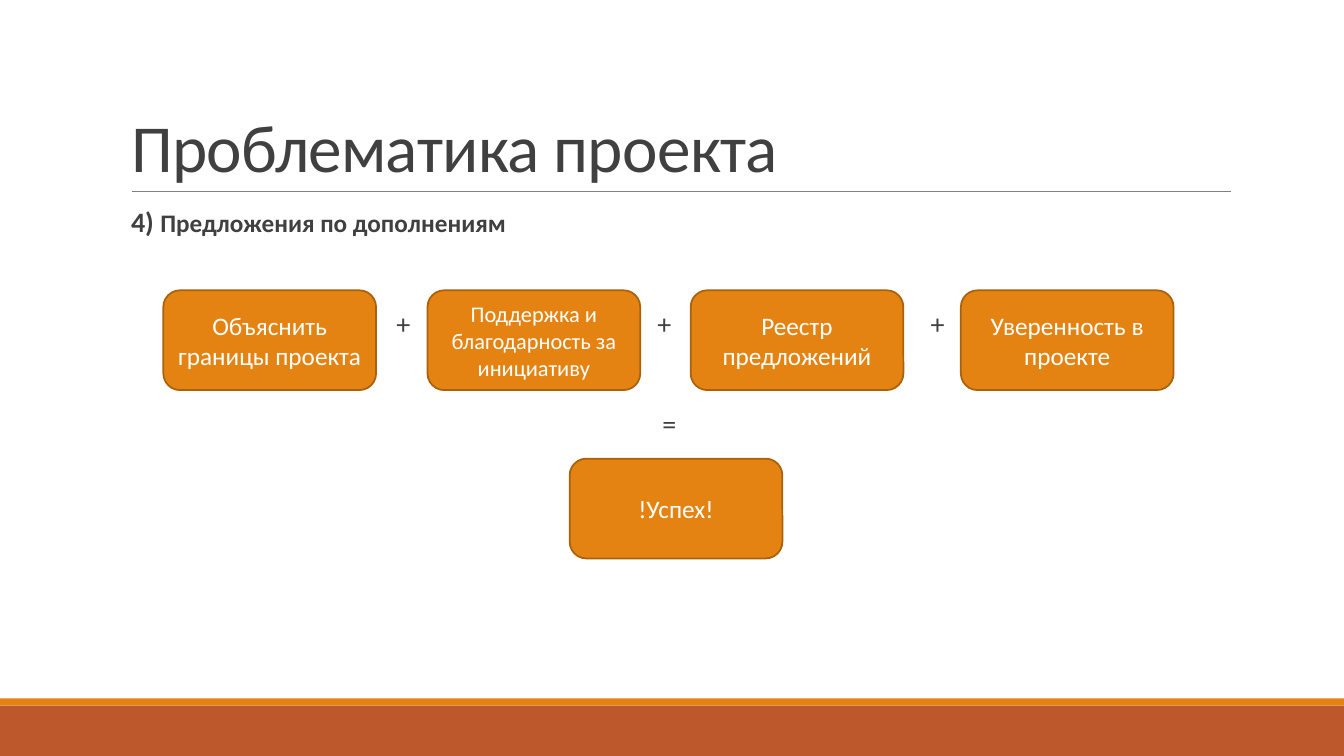
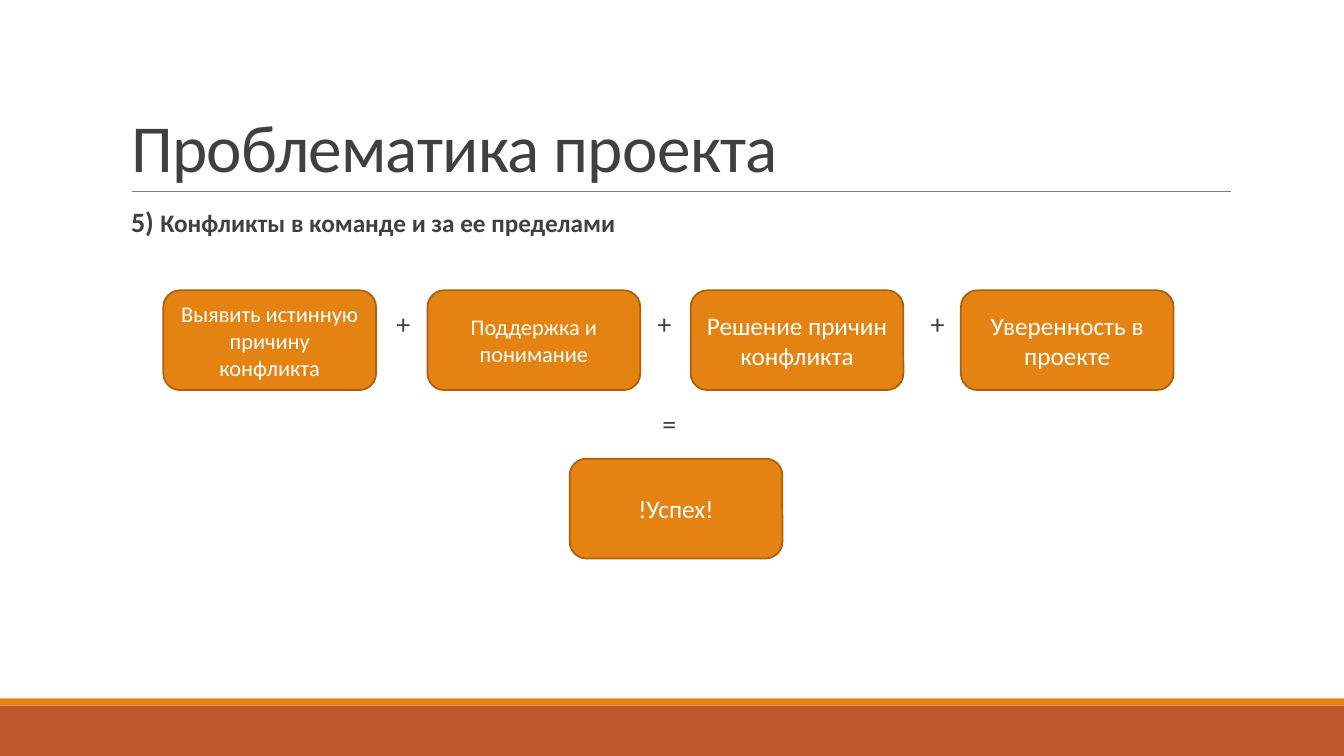
from dataclasses import dataclass

from pptx import Presentation
from pptx.dml.color import RGBColor
from pptx.enum.shapes import MSO_CONNECTOR as Connector, MSO_SHAPE as Shape
from pptx.enum.text import MSO_ANCHOR as Anchor, MSO_AUTO_SIZE as AutoSize, PP_ALIGN as Align
from pptx.oxml.ns import qn
from pptx.util import Inches, Pt
from lxml.etree import SubElement


@dataclass(frozen=True)
class Theme:
    font: str = "Calibri"
    ink: str = "404040"
    accent: str = "E48312"
    accent_edge: str = "A9610D"
    footer: str = "BD582C"
    rule: str = "808080"
    white: str = "FFFFFF"
    title_size: int = 48
    lead_size: int = 20
    text_size: int = 18
    small_size: int = 16


THEME = Theme()
SLIDE_WIDTH, SLIDE_HEIGHT = 13.33, 7.5
TITLE_BOX = (1.2, 0.31, 11, 1.59)
HEADING_BOX = (1.3, 2.02, 10.9, 0.5)
DIAGRAM_BOX = (1.62, 2.88, 10.02, 2.66)
CARD_WIDTH, CARD_HEIGHT = 2.11, 0.99
CARD_OFFSETS = (0, 2.62, 5.23, 7.91)
PLUS_CENTRES = (2.38, 4.97, 7.68)
PLUS_MIDDLE = 0.33
EQUALS_CENTRE, EQUALS_MIDDLE = 5.02, 1.32
RESULT_OFFSET = 4.03
SIGN_SIZE = 0.4

TITLE = "Проблематика проекта"
RESULT = "!Успех!"
TOPICS = [
    ("4) ", "Предложения по дополнениям", [
        ("Объяснить границы проекта", THEME.text_size),
        ("Поддержка и благодарность за инициативу", THEME.small_size),
        ("Реестр предложений", THEME.text_size),
        ("Уверенность в проекте", THEME.text_size),
    ]),
    ("5) ", "Конфликты в команде и за ее пределами", [
        ("Выявить истинную причину конфликта", THEME.small_size),
        ("Поддержка и понимание", THEME.small_size),
        ("Решение причин конфликта", THEME.text_size),
        ("Уверенность в проекте", THEME.text_size),
    ]),
]


def apply(target, formats):
    for name, value in formats.items():
        setattr(target, name, value)


def inches(box):
    return [Inches(length) for length in box]


def write(shape, spans, color, frame_format, para_format):
    frame = shape.text_frame
    apply(frame, {"word_wrap": True, "auto_size": AutoSize.NONE, **frame_format})
    para = frame.paragraphs[0]
    apply(para, para_format)
    for text, size, bold in spans:
        span = para.add_run()
        span.text = text
        apply(span.font, {"name": THEME.font, "size": Pt(size), "bold": bold})
        span.font.color.rgb = RGBColor.from_string(color)
    return para


def add_block(page, kind, box, fill, edge=None):
    block = page.shapes.add_shape(kind, *inches(box))
    block.shadow.inherit = False
    block.fill.solid()
    block.fill.fore_color.rgb = RGBColor.from_string(fill)
    if edge:
        block.line.color.rgb = RGBColor.from_string(edge)
        block.line.width = Pt(1.25)
    else:
        block.line.fill.background()
    return block


def add_rule(page, left, top, right):
    rule = page.shapes.add_connector(Connector.STRAIGHT, *inches((left, top, right, top)))
    rule.line.color.rgb = RGBColor.from_string(THEME.rule)
    rule.line.width = Pt(0.5)
    SubElement(rule.element.spPr, qn("a:effectLst"))


def add_frame(page):
    add_block(page, Shape.RECTANGLE, (0, 7, SLIDE_WIDTH, 0.5), THEME.footer)
    add_block(page, Shape.RECTANGLE, (0, 6.93, SLIDE_WIDTH, 0.07), THEME.accent)
    add_rule(page, 1.31, 1.9, 12.21)


def add_title(page, box):
    title = page.shapes.title
    apply(title, dict(zip(("left", "top", "width", "height"), inches(box))))
    para = write(title, [(TITLE, THEME.title_size, False)], THEME.ink,
                 {"vertical_anchor": Anchor.BOTTOM},
                 {"alignment": Align.LEFT, "line_spacing": 0.85})
    para.runs[0].font.element.set("spc", "-50") if hasattr(para.runs[0].font, "element") \
        else para.runs[0].font._element.set("spc", "-50") if hasattr(para.runs[0].font, "_element") \
        else para.runs[0]._r.get_or_add_rPr().set("spc", "-50")


def add_heading(page, box, number, text):
    heading = page.shapes.add_textbox(*inches(box))
    write(heading, [(number, THEME.lead_size, True), (text, THEME.text_size, True)], THEME.ink,
          {"margin_left": 0, "margin_right": 0, "vertical_anchor": Anchor.TOP},
          {"alignment": Align.LEFT, "line_spacing": 0.9})


def add_card(page, left, top, text, size):
    card = add_block(page, Shape.ROUNDED_RECTANGLE, (left, top, CARD_WIDTH, CARD_HEIGHT),
                     THEME.accent, THEME.accent_edge)
    write(card, [(text, size, False)], THEME.white,
          {"vertical_anchor": Anchor.MIDDLE}, {"alignment": Align.CENTER})


def add_sign(page, centre, middle, text):
    box = (centre - SIGN_SIZE / 2, middle - SIGN_SIZE / 2, SIGN_SIZE, SIGN_SIZE)
    sign = page.shapes.add_textbox(*inches(box))
    margins = dict.fromkeys(("margin_left", "margin_right", "margin_top", "margin_bottom"), 0)
    write(sign, [(text, THEME.lead_size, False)], THEME.ink,
          {**margins, "vertical_anchor": Anchor.MIDDLE}, {"alignment": Align.CENTER})


def add_diagram(page, box, cards):
    left, top, width, height = box
    for offset, (text, size) in zip(CARD_OFFSETS, cards):
        add_card(page, left + offset, top, text, size)
    for centre in PLUS_CENTRES:
        add_sign(page, left + centre, top + PLUS_MIDDLE, "+")
    add_sign(page, left + EQUALS_CENTRE, top + EQUALS_MIDDLE, "=")
    add_card(page, left + RESULT_OFFSET, top + height - CARD_HEIGHT, RESULT, THEME.text_size)


def add_topic(deck, number, heading, cards):
    page = deck.slides.add_slide(deck.slide_layouts[5])
    add_frame(page)
    add_title(page, TITLE_BOX)
    add_heading(page, HEADING_BOX, number, heading)
    add_diagram(page, DIAGRAM_BOX, cards)


def main():
    deck = Presentation()
    apply(deck, {"slide_width": Inches(SLIDE_WIDTH), "slide_height": Inches(SLIDE_HEIGHT)})
    for topic in TOPICS:
        add_topic(deck, *topic)
    deck.save("out.pptx")


if __name__ == "__main__":
    main()
